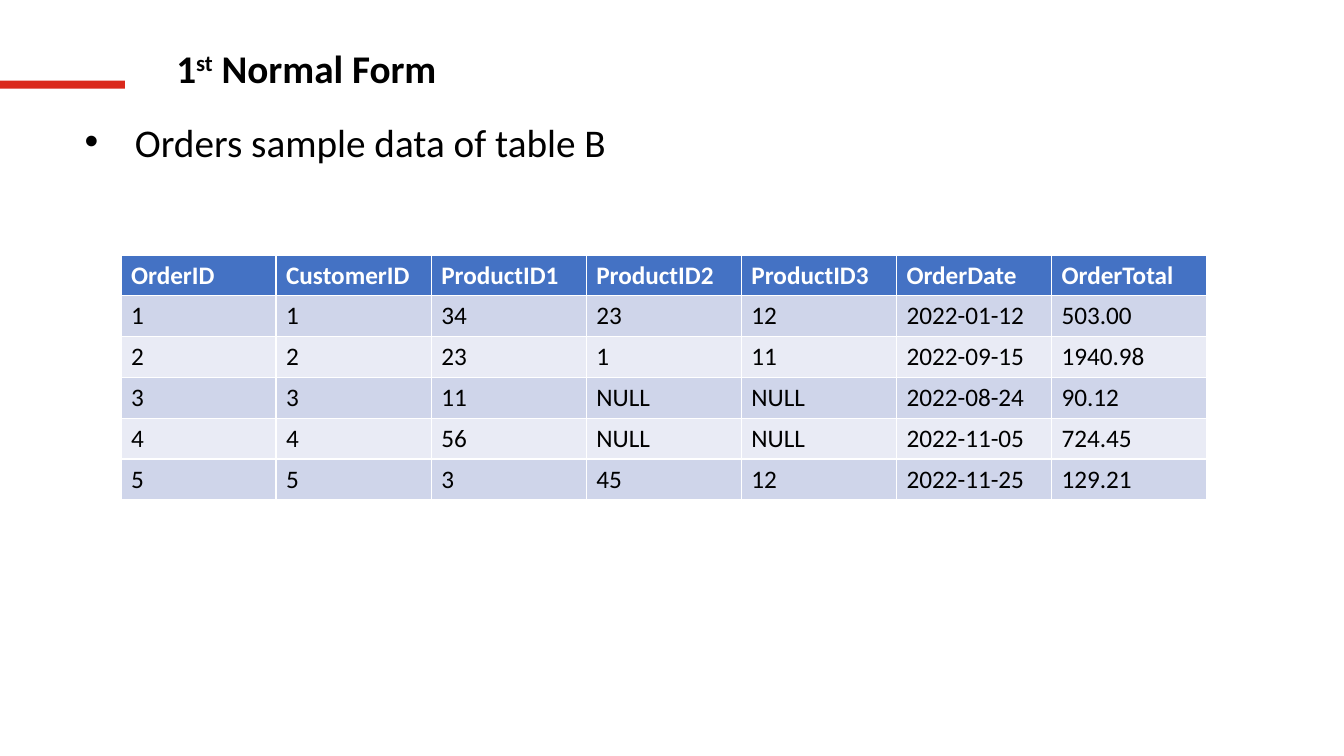
import pptx
import pptx.util
import pptx.dml.color
import pptx.enum.shapes
import pptx.oxml
import pptx.oxml.ns

Inches = pptx.util.Inches
Pt = pptx.util.Pt
RGBColor = pptx.dml.color.RGBColor

BLACK = RGBColor(0x00, 0x00, 0x00)
WHITE = RGBColor(0xFF, 0xFF, 0xFF)
RED = RGBColor(0xDA, 0x29, 0x1C)
BLUE = RGBColor(0x44, 0x72, 0xC4)
BANDS = [RGBColor(0xE9, 0xEB, 0xF5), RGBColor(0xCF, 0xD5, 0xEA)]

ROWS = [
    ["OrderID", "CustomerID", "ProductID1", "ProductID2", "ProductID3", "OrderDate", "OrderTotal"],
    ["1", "1", "34", "23", "12", "2022-01-12", "503.00"],
    ["2", "2", "23", "1", "11", "2022-09-15", "1940.98"],
    ["3", "3", "11", "NULL", "NULL", "2022-08-24", "90.12"],
    ["4", "4", "56", "NULL", "NULL", "2022-11-05", "724.45"],
    ["5", "5", "3", "45", "12", "2022-11-25", "129.21"],
]


def add_run(para, text, color, **form):
    run = para.add_run()
    run.text = text
    run.font.color.rgb = color
    for name, value in {"name": "Calibri", **form}.items():
        setattr(run.font, name, value)
    return run


def add_line(left, top):
    box = slide.shapes.add_textbox(Inches(left), Inches(top), Inches(11.92), Inches(0.57))
    box.text_frame.word_wrap = True
    return box.text_frame.paragraphs[0]


deck = pptx.Presentation()
deck.slide_width = Inches(13.33)
deck.slide_height = Inches(7.5)
slide = deck.slides.add_slide(deck.slide_layouts[6])

# Bullet line
point = add_line(0.62, 1.12)
add_run(point, "Orders sample data of table B", BLACK, size=Pt(28))
props = point._p.get_or_add_pPr()
props.set("marL", str(Inches(0.62)))
props.set("indent", str(Inches(-0.5)))
for tag, key, value in [("buFont", "typeface", "Arial"), ("buChar", "char", "•")]:
    mark = pptx.oxml.parse_xml(f'<a:{tag} {pptx.oxml.ns.nsdecls("a")}/>')
    mark.set(key, value)
    props.append(mark)

# Title with raised ordinal
title = add_line(1.65, 0.39)
for text, base in [("1", 0), ("st", 30000), (" Normal Form", 0)]:
    run = add_run(title, text, BLACK, size=Pt(28), bold=True)
    if base:
        run.font._element.set("baseline", str(base))

# Red accent bar
bar = slide.shapes.add_shape(
    pptx.enum.shapes.MSO_SHAPE.RECTANGLE, 0, Inches(0.8), Inches(1.24), Inches(0.08))
bar.shadow.inherit = False
bar.fill.solid()
bar.fill.fore_color.rgb = RED
bar.line.fill.background()

# Orders table: the default style draws the white borders
grid = slide.shapes.add_table(
    len(ROWS), len(ROWS[0]), Inches(1.2), Inches(2.53), Inches(10.77), Inches(2.43)).table
for r, row in enumerate(ROWS):
    head = r == 0
    for c, text in enumerate(row):
        cell = grid.cell(r, c)
        cell.fill.solid()
        cell.fill.fore_color.rgb = BLUE if head else BANDS[r % 2]
        add_run(cell.text_frame.paragraphs[0], text, WHITE if head else BLACK,
                size=Pt(18), bold=head)

deck.save("out.pptx")
